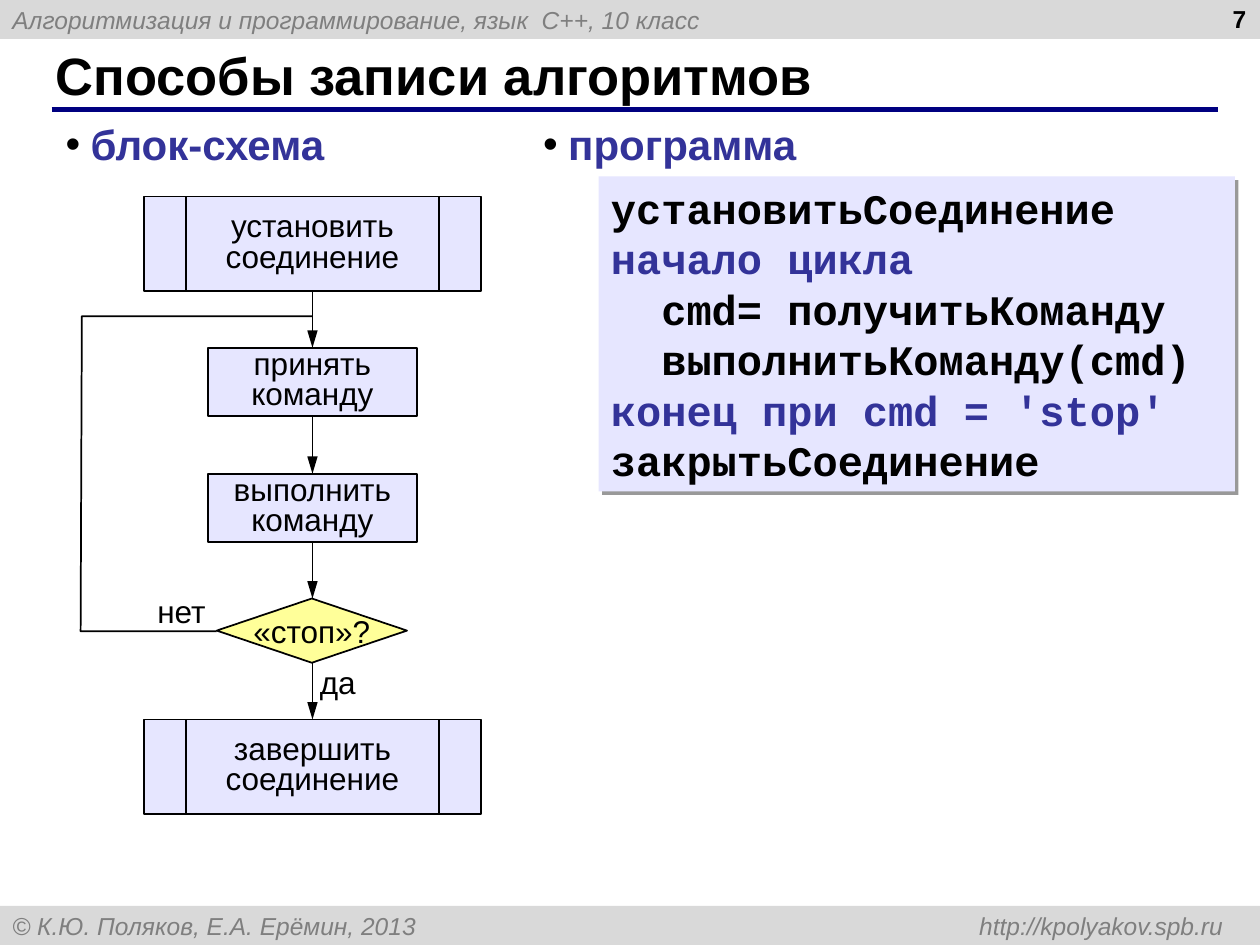
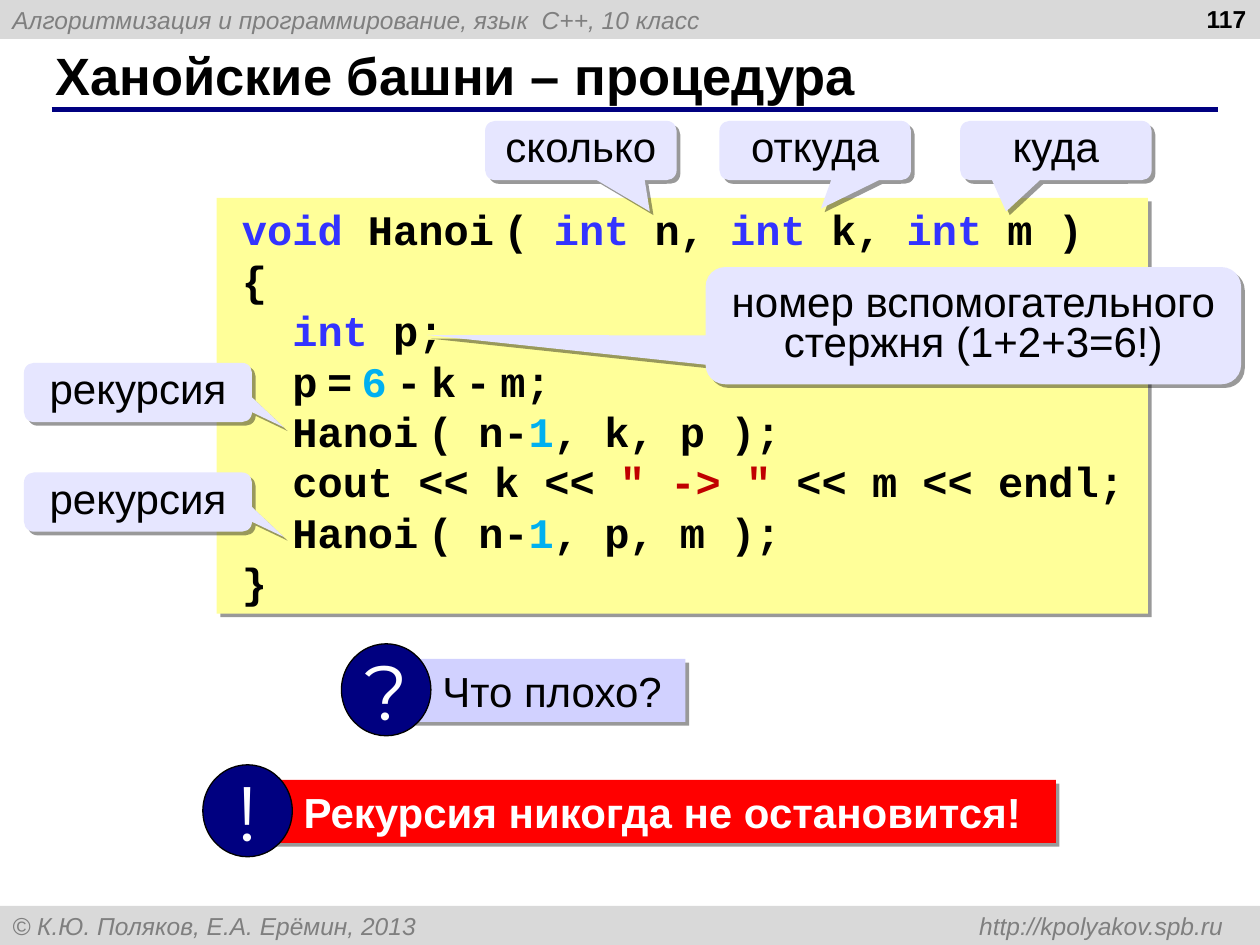
from dataclasses import dataclass
from typing import NamedTuple

from lxml.etree import SubElement
from pptx import Presentation
from pptx.dml.color import RGBColor
from pptx.enum.shapes import MSO_CONNECTOR, MSO_SHAPE as Geo
from pptx.enum.text import MSO_ANCHOR as Anchor, MSO_AUTO_SIZE, PP_ALIGN as Align
from pptx.oxml.ns import qn
from pptx.presentation import Presentation as Deck
from pptx.shapes.autoshape import Shape
from pptx.shapes.connector import Connector
from pptx.slide import Slide
from pptx.util import Inches, Pt

COLORS = {
    "black": "000000", "white": "FFFFFF", "band": "D9D9D9", "grey": "7F7F7F",
    "navy": "000080", "indigo": "333399", "lilac": "E6E6FF", "violet": "D1D1FF",
    "yellow": "FFFF99", "red": "FF0000", "keyword": "3333FF", "number": "00B0F0",
    "string": "C00000",
}
CODE_SIZE = 24
AXIS_X = 2.48


class Box(NamedTuple):
    left: float
    top: float
    width: float
    height: float


class Span(NamedTuple):
    text: str
    color: str = "black"
    size: float = CODE_SIZE


@dataclass
class Style:
    size: float = 18
    color: str = "black"
    bold: bool = False
    italic: bool = False
    font: str = "Arial"
    align: Align = Align.CENTER
    anchor: Anchor = Anchor.MIDDLE
    spacing: float = 1.0
    wrap: bool = True


@dataclass
class Step:
    text: str
    geo: Geo
    box: Box
    fill: str = "lilac"
    wrap: bool = True


@dataclass
class Callout:
    text: str
    box: Box
    tip: tuple[float, float]


@dataclass
class Notice:
    sign: str
    text: str
    box: Box
    fill: str
    color: str
    bold: bool


BAND = Style(14, "grey", italic=True, align=Align.LEFT)
TITLE = Style(30, bold=True, align=Align.LEFT)
NUMBER = Style(14, bold=True, align=Align.RIGHT, anchor=Anchor.TOP)
HEADING = Style(24, "indigo", bold=True, align=Align.LEFT, anchor=Anchor.TOP)
LABEL = Style(18, align=Align.LEFT, anchor=Anchor.TOP, wrap=False)
CALLOUT = Style(24, spacing=0.8)
SIGN = Style(44, "white", font="Montserrat", wrap=False)

GAP = Span(" ", size=9)
INT = Span("int", "keyword")
ONE = Span("1", "number")

CONNECTION_CODE = [
    [Span("установитьСоединение")],
    [Span("начало цикла", "indigo")],
    [Span("  cmd= получитьКоманду")],
    [Span("  выполнитьКоманду(cmd)")],
    [Span("конец при cmd = 'stop'", "indigo")],
    [Span("закрытьСоединение")],
]
HANOI_CODE = [
    [Span("void", "keyword"), Span(" Hanoi"), GAP, Span("( "), INT, Span(" n, "),
     INT, Span(" k, "), INT, Span(" m )")],
    [Span("{")],
    [Span("  "), INT, Span(" p;")],
    [Span("  p"), GAP, Span("="), GAP, Span("6", "number"), GAP, Span("-"), GAP,
     Span("k"), GAP, Span("-"), GAP, Span("m;")],
    [Span("  Hanoi"), GAP, Span("( n-"), ONE, Span(", k, p );")],
    [Span("  cout << k << "), Span('" -> "', "string"), Span(" << m << endl;")],
    [Span("  Hanoi"), GAP, Span("( n-"), ONE, Span(", p, m );")],
    [Span("}")],
]
STEPS = [
    Step("установить соединение", Geo.FLOWCHART_PREDEFINED_PROCESS, Box(1.14, 1.56, 2.68, 0.75)),
    Step("принять команду", Geo.FLOWCHART_PROCESS, Box(1.65, 2.76, 1.66, 0.54)),
    Step("выполнить команду", Geo.FLOWCHART_PROCESS, Box(1.65, 3.76, 1.66, 0.54)),
    Step("«стоп»?", Geo.FLOWCHART_DECISION, Box(1.72, 4.75, 1.51, 0.51), "yellow", False),
    Step("завершить соединение", Geo.FLOWCHART_PREDEFINED_PROCESS, Box(1.14, 5.71, 2.68, 0.75)),
]
BRANCHES = {"да": Box(2.44, 5.21, 0.48, 0.4), "нет": Box(1.15, 4.65, 0.59, 0.4)}
LOOP = [(1.72, 5.01), (0.64, 5.01), (0.65, 2.51), (AXIS_X, 2.51)]
CALLOUTS = [
    Callout("номер вспомогательного стержня (1+2+3=6!)", Box(5.6, 2.12, 4.25, 0.93), (-1.02, 0.08)),
    Callout("сколько", Box(3.85, 0.96, 1.52, 0.47), (0.36, 1.03)),
    Callout("откуда", Box(5.71, 0.96, 1.52, 0.47), (0.03, 0.98)),
    Callout("куда", Box(7.62, 0.96, 1.52, 0.47), (-0.26, 1.03)),
    *(Callout("рекурсия", Box(0.19, top, 1.81, 0.47), (0.64, 0.59)) for top in (2.88, 3.75)),
]
NOTICES = [
    Notice("?", "Что плохо?", Box(3.22, 5.23, 2.22, 0.5), "violet", "black", False),
    Notice("!", "Рекурсия никогда не остановится!", Box(2.12, 6.19, 6.26, 0.5), "red", "white", True),
]


def rgb(name: str) -> RGBColor:
    return RGBColor.from_string(COLORS[name])


def emu(values: tuple[float, ...]) -> list[Inches]:
    return [Inches(v) for v in values]


def place(sp: Shape, box: Box) -> None:
    sp.left, sp.top, sp.width, sp.height = emu(box)


def write(sp: Shape, text: str, style: Style) -> None:
    tf = sp.text_frame
    tf.text = text
    tf.word_wrap = style.wrap
    tf.auto_size = MSO_AUTO_SIZE.NONE
    tf.vertical_anchor = style.anchor
    p = tf.paragraphs[0]
    p.alignment = style.align
    p.line_spacing = style.spacing
    p.space_before = Pt(0)
    for r in p.runs:
        r.font.name, r.font.size = style.font, Pt(style.size)
        r.font.bold, r.font.italic = style.bold, style.italic
        r.font.color.rgb = rgb(style.color)


def add_box(slide: Slide, geo: Geo, box: Box, fill: str, line: float = 0) -> Shape:
    sp = slide.shapes.add_shape(geo, *emu(box))
    sp.shadow.inherit = False
    sp.fill.solid()
    sp.fill.fore_color.rgb = rgb(fill)
    if line:
        sp.line.color.rgb = rgb("black")
        sp.line.width = Pt(line)
    else:
        sp.line.fill.background()
    return sp


def cast_shadow(sp: Shape) -> None:
    effects = sp.element.spPr.find(qn("a:effectLst"))
    shadow = SubElement(effects, qn("a:outerShdw"), blurRad="0", dist=str(Pt(3)),
                        dir="2700000", algn="ctr", rotWithShape="0")
    color = SubElement(shadow, qn("a:srgbClr"), val=COLORS["black"])
    SubElement(color, qn("a:alpha"), val="40000")


def add_label(slide: Slide, text: str, box: Box, style: Style) -> None:
    write(slide.shapes.add_textbox(*emu(box)), text, style)


def add_line(slide: Slide, start: tuple[float, float], end: tuple[float, float],
             color: str, width: float) -> Connector:
    line = slide.shapes.add_connector(MSO_CONNECTOR.STRAIGHT, *emu(start), *emu(end))
    line.line.color.rgb = rgb(color)
    line.line.width = Pt(width)
    SubElement(line.element.spPr, qn("a:effectLst"))
    return line


def add_arrow(slide: Slide, top: float, bottom: float) -> None:
    arrow = add_line(slide, (AXIS_X, top), (AXIS_X, bottom), "black", 1)
    SubElement(arrow.element.spPr.find(qn("a:ln")), qn("a:tailEnd"),
               type="triangle", w="med", len="lg")


def add_code(slide: Slide, lines: list[list[Span]], box: Box, fill: str, indent: float = 0) -> None:
    sp = add_box(slide, Geo.RECTANGLE, box, fill)
    cast_shadow(sp)
    tf = sp.text_frame
    tf.word_wrap = True
    tf.vertical_anchor = Anchor.TOP
    tf.margin_left = Inches(0.1 + indent)
    for i, spans in enumerate(lines):
        p = tf.add_paragraph() if i else tf.paragraphs[0]
        p.alignment = Align.LEFT
        p.line_spacing = Pt(1.2 * CODE_SIZE)
        for span in spans:
            r = p.add_run()
            r.text = span.text
            r.font.name, r.font.size, r.font.bold = "Courier New", Pt(span.size), True
            r.font.color.rgb = rgb(span.color)


def add_slide(prs: Deck, layout: int, title: str, number: int) -> Slide:
    slide = prs.slides.add_slide(prs.slide_layouts[layout])
    place(slide.shapes.title, Box(0.34, 0.33, 9.16, 0.52))
    write(slide.shapes.title, title, TITLE)
    add_label(slide, str(number), Box(7.66, -0.02, 2.33, 0.52), NUMBER)
    return slide


def add_heading(sp: Shape, text: str, left: float) -> None:
    place(sp, Box(left, 0.89, 3.27, 0.5))
    write(sp, text, HEADING)
    props = sp.text_frame.paragraphs[0]._p.get_or_add_pPr()
    props.set("marL", str(Inches(0.2)))
    props.set("indent", str(-Inches(0.2)))
    SubElement(SubElement(props, qn("a:buClr")), qn("a:srgbClr"), val=COLORS["black"])
    SubElement(props, qn("a:buChar"), char="•")


def add_callout(slide: Slide, callout: Callout) -> None:
    sp = add_box(slide, Geo.ROUNDED_RECTANGULAR_CALLOUT, callout.box, "lilac")
    sp.adjustments[0], sp.adjustments[1] = callout.tip
    cast_shadow(sp)
    write(sp, callout.text, CALLOUT)


def add_notice(slide: Slide, notice: Notice) -> None:
    bar = add_box(slide, Geo.RECTANGLE, notice.box, notice.fill)
    cast_shadow(bar)
    write(bar, notice.text, Style(24, notice.color, notice.bold, align=Align.LEFT))
    bar.text_frame.margin_left = Inches(0.29)
    left, top = notice.box.left - 0.51, notice.box.top - 0.12
    sign = add_box(slide, Geo.OVAL, Box(left, top, 0.71, 0.73), "navy", 0.75)
    write(sign, notice.sign, SIGN)


def add_master_frame(prs: Deck, slide: Slide) -> None:
    header = add_box(slide, Geo.RECTANGLE, Box(0, 0, 10, 0.31), "band")
    write(header, "Алгоритмизация и программирование, язык  C++, 10 класс", BAND)
    footer = add_box(slide, Geo.RECTANGLE, Box(0, 7.19, 10, 0.31), "band")
    write(footer, "© К.Ю. Поляков, Е.А. Ерёмин, 2013\thttp://kpolyakov.spb.ru", BAND)
    tabs = SubElement(footer.text_frame.paragraphs[0]._p.get_or_add_pPr(), qn("a:tabLst"))
    SubElement(tabs, qn("a:tab"), pos=str(Inches(9.61)), algn="r")
    rule = add_line(slide, (0.41, 0.87), (9.67, 0.87), "navy", 3)
    for sp in (header, footer, rule):
        prs.slide_master.shapes.element.append(sp.element)


def build_notations(prs: Deck) -> Slide:
    slide = add_slide(prs, 3, "Способы записи алгоритмов", 7)
    add_heading(slide.placeholders[1], "блок-схема", 0.42)
    add_heading(slide.placeholders[2], "программа", 4.21)
    add_code(slide, CONNECTION_CODE, Box(4.75, 1.4, 5.05, 2.5), "lilac")
    for step in STEPS:
        sp = add_box(slide, step.geo, step.box, step.fill, 1)
        write(sp, step.text, Style(spacing=0.8 if step.wrap else 1.0, wrap=step.wrap))
    for upper, lower in zip(STEPS, STEPS[1:]):
        add_arrow(slide, upper.box.top + upper.box.height, lower.box.top)
    for text, box in BRANCHES.items():
        add_label(slide, text, box, LABEL)
    builder = slide.shapes.build_freeform(*emu(LOOP[0]))
    builder.add_line_segments([emu(point) for point in LOOP[1:]], close=False)
    loop = builder.convert_to_shape()
    loop.shadow.inherit = False
    loop.fill.background()
    loop.line.color.rgb = rgb("black")
    loop.line.width = Pt(1)
    return slide


def build_hanoi(prs: Deck) -> None:
    slide = add_slide(prs, 5, "Ханойские башни – процедура", 117)
    add_code(slide, HANOI_CODE, Box(1.72, 1.57, 7.39, 3.3), "yellow", 0.1)
    for callout in CALLOUTS:
        add_callout(slide, callout)
    for notice in NOTICES:
        add_notice(slide, notice)


def main() -> None:
    prs = Presentation()
    prs.slide_width, prs.slide_height = Inches(10), Inches(7.5)
    notations = build_notations(prs)
    build_hanoi(prs)
    add_master_frame(prs, notations)
    prs.save("out.pptx")


if __name__ == "__main__":
    main()
